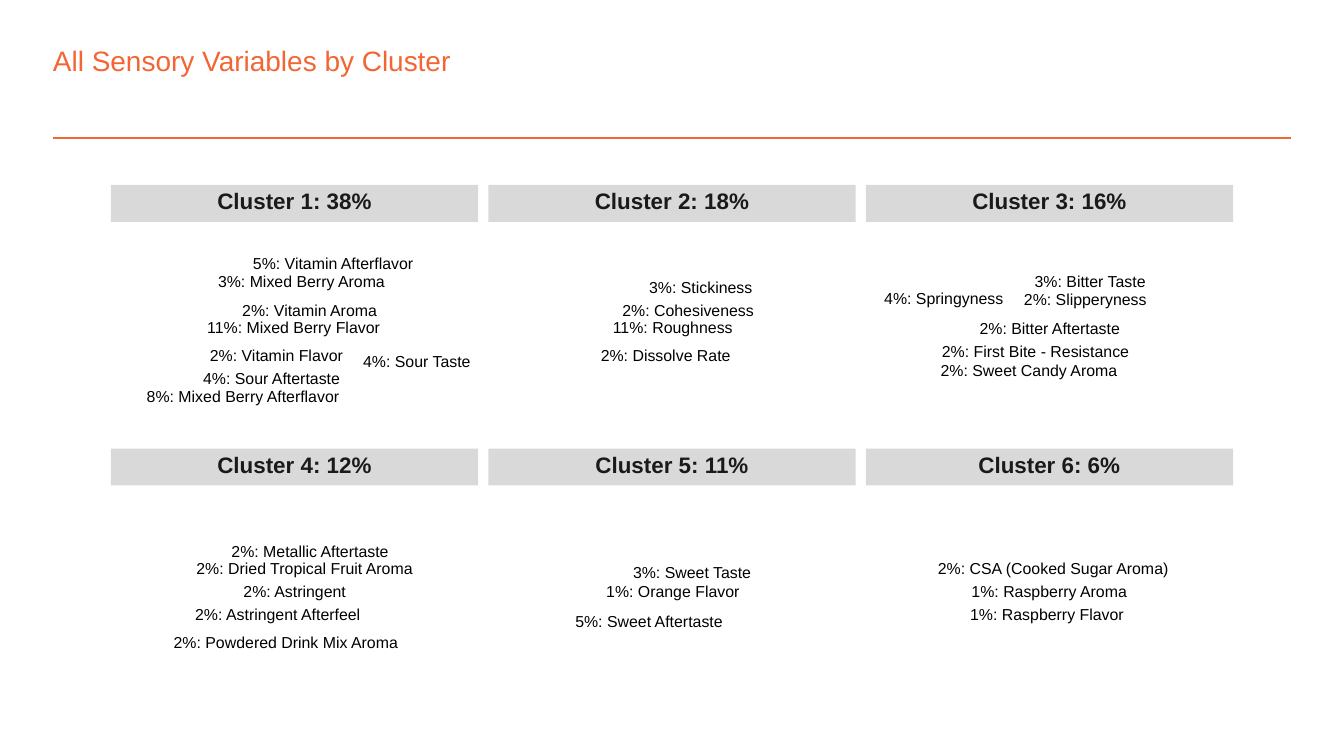
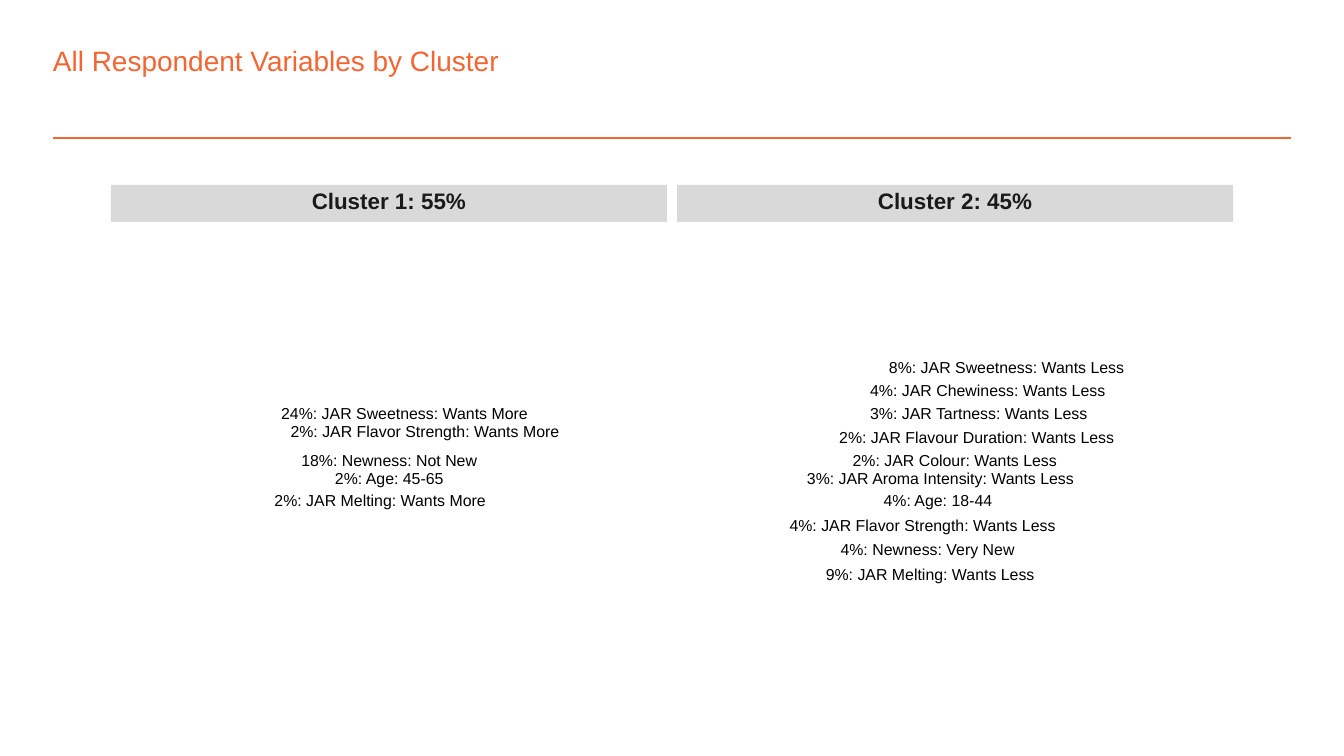
from dataclasses import dataclass
from lxml.etree import SubElement
from pptx import Presentation
from pptx.dml.color import RGBColor
from pptx.enum.shapes import MSO_CONNECTOR, MSO_SHAPE
from pptx.enum.text import MSO_ANCHOR, MSO_AUTO_SIZE, PP_ALIGN
from pptx.oxml.ns import qn
from pptx.util import Inches, Pt


@dataclass(frozen=True)
class Theme:
    font: str = "Arial"
    accent: str = "F36633"
    bar: str = "D9D9D9"
    paper: str = "FFFFFF"
    head: str = "1A1A1A"
    ink: str = "000000"
    title: float = 15
    label: float = 12
    item: float = 8.5


THEME = Theme()
WIDE = Inches(10)
HIGH = WIDE * 9 // 16
UNIT = WIDE // 1000
RULE = (39.4, 103, 960.6, 103)
TITLE = (39.4, 32, 829, 25)
PANEL = (75, 130, 850, 400)
GAP = 7.5
BAR = 27.5
INSET = 0.7

SENSORY = [
    ("Cluster 1: 38%", [
        ("5%: Vitamin Afterflavor", 105, 54, 121),
        ("3%: Mixed Berry Aroma", 79, 67, 125),
        ("2%: Vitamin Aroma", 97, 89, 101),
        ("11%: Mixed Berry Flavor", 71, 101, 130),
        ("2%: Vitamin Flavor", 73, 123, 99),
        ("4%: Sour Taste", 187, 127, 82),
        ("4%: Sour Aftertaste", 68, 140, 103),
        ("8%: Mixed Berry Afterflavor", 26, 152, 144),
    ]),
    ("Cluster 2: 18%", [
        ("3%: Stickiness", 119, 72, 77),
        ("2%: Cohesiveness", 99, 89, 98),
        ("11%: Roughness", 92, 101, 90),
        ("2%: Dissolve Rate", 83, 123, 97),
    ]),
    ("Cluster 3: 16%", [
        ("3%: Bitter Taste", 125, 68, 84),
        ("4%: Springyness", 13, 79, 89),
        ("2%: Slipperyness", 117, 80, 92),
        ("2%: Bitter Aftertaste", 84, 103, 105),
        ("2%: First Bite - Resistance", 56, 120, 140),
        ("2%: Sweet Candy Aroma", 55, 133, 132),
    ]),
    ("Cluster 4: 12%", [
        ("2%: Metallic Aftertaste", 89, 72, 118),
        ("2%: Dried Tropical Fruit Aroma", 63, 84, 163),
        ("2%: Astringent", 98, 101, 77),
        ("2%: Astringent Afterfeel", 62, 118, 125),
        ("2%: Powdered Drink Mix Aroma", 46, 140, 168),
    ]),
    ("Cluster 5: 11%", [
        ("3%: Sweet Taste", 107, 88, 90),
        ("1%: Orange Flavor", 87, 101, 99),
        ("5%: Sweet Aftertaste", 64, 124, 111),
    ]),
    ("Cluster 6: 6%", [
        ("2%: CSA (Cooked Sugar Aroma)", 53, 84, 173),
        ("1%: Raspberry Aroma", 78, 101, 117),
        ("1%: Raspberry Flavor", 77, 118, 115),
    ]),
]

PEOPLE = [
    ("Cluster 1: 55%", [
        ("24%: JAR Sweetness: Wants More", 126, 166, 184),
        ("2%: JAR Flavor Strength: Wants More", 133, 178, 201),
        ("18%: Newness: Not New", 141, 201, 131),
        ("2%: Age: 45-65", 166, 213, 82),
        ("2%: JAR Melting: Wants More", 121, 230, 158),
    ]),
    ("Cluster 2: 45%", [
        ("8%: JAR Sweetness: Wants Less", 157, 132, 176),
        ("4%: JAR Chewiness: Wants Less", 143, 149, 176),
        ("3%: JAR Tartness: Wants Less", 143, 166, 164),
        ("2%: JAR Flavour Duration: Wants Less", 120, 184, 206),
        ("2%: JAR Colour: Wants Less", 130, 201, 153),
        ("3%: JAR Aroma Intensity: Wants Less", 96, 213, 200),
        ("4%: Age: 18-44", 153, 230, 82),
        ("4%: JAR Flavor Strength: Wants Less", 83, 248, 199),
        ("4%: Newness: Very New", 121, 266, 130),
        ("9%: JAR Melting: Wants Less", 110, 285, 156),
    ]),
]


def place(box):
    return [round(n * UNIT) for n in box]


def color(code):
    return RGBColor.from_string(code)


def write(shape, text, size, ink, bold=False, wrap=False, lead=None,
          align=PP_ALIGN.LEFT, anchor=MSO_ANCHOR.MIDDLE, fit=MSO_AUTO_SIZE.NONE):
    frame = shape.text_frame
    frame.margin_left = frame.margin_right = 0
    frame.margin_top = frame.margin_bottom = 0
    frame.word_wrap = wrap
    frame.auto_size = fit
    frame.vertical_anchor = anchor
    para = frame.paragraphs[0]
    para.alignment = align
    if lead:
        para.line_spacing = Pt(lead)
    run = para.add_run()
    run.text = text
    run.font.name = THEME.font
    run.font.size = Pt(size)
    run.font.bold = bold
    run.font.color.rgb = color(ink)


def block(group, box, fill, edge=None):
    shape = group.shapes.add_shape(MSO_SHAPE.RECTANGLE, *place(box))
    shape.shadow.inherit = False
    shape.fill.solid()
    shape.fill.fore_color.rgb = color(fill)
    if edge:
        shape.line.color.rgb = color(edge)
        shape.line.width = Pt(0.75)
    else:
        shape.line.fill.background()


def header(slide, text):
    line = slide.shapes.add_connector(MSO_CONNECTOR.STRAIGHT, *place(RULE))
    line.line.color.rgb = color(THEME.accent)
    line.line.width = Pt(1)
    SubElement(line.element.spPr, qn("a:effectLst"))
    title = slide.shapes.title
    title.left, title.top, title.width, title.height = place(TITLE)
    write(title, text, THEME.title, THEME.accent, wrap=True,
          anchor=MSO_ANCHOR.TOP, fit=MSO_AUTO_SIZE.SHAPE_TO_FIT_TEXT)


def cluster(group, box, label, items):
    left, top, width, _ = box
    block(group, (left, top, width, BAR), THEME.bar)
    span = 9 * len(label) - 11
    head = group.shapes.add_textbox(
        *place((left + (width - span) / 2, top + BAR / 4, span, 13)))
    write(head, label, THEME.label, THEME.head, bold=True,
          lead=THEME.label, align=PP_ALIGN.CENTER)
    for text, across, down, span in items:
        tall = 11 if set("gpy(") & set(text) else 9
        note = group.shapes.add_textbox(
            *place((left + across + INSET, top + down + INSET, span, tall)))
        write(note, text, THEME.item, THEME.ink, lead=THEME.item)


def panel(slide, box, groups, cols, rows):
    group = slide.shapes.add_group_shape()
    block(group, box, THEME.paper, THEME.paper)
    left, top, width, height = box
    across = (width - GAP) / cols
    down = (height - GAP) / rows
    for spot, (label, items) in enumerate(groups):
        row, col = divmod(spot, cols)
        cell = (left + GAP + col * across, top + GAP + row * down,
                across - GAP, down - GAP)
        cluster(group, cell, label, items)


def page(deck, title, groups, cols, rows):
    slide = deck.slides.add_slide(deck.slide_layouts[5])
    header(slide, title)
    panel(slide, PANEL, groups, cols, rows)


def main():
    deck = Presentation()
    deck.slide_width, deck.slide_height = WIDE, HIGH
    page(deck, "All Sensory Variables by Cluster", SENSORY, 3, 2)
    page(deck, "All Respondent Variables by Cluster", PEOPLE, 2, 1)
    deck.save("out.pptx")


if __name__ == "__main__":
    main()
